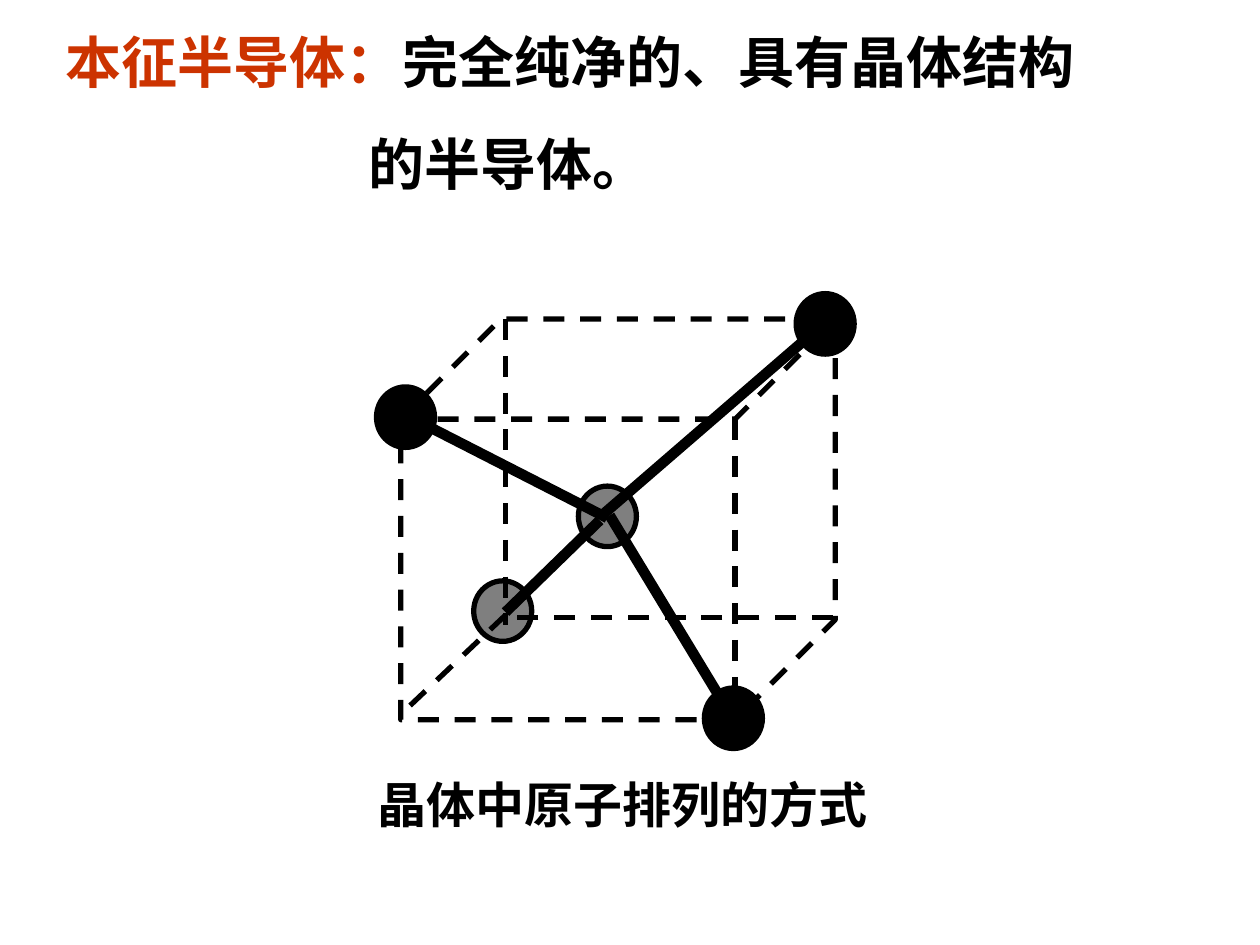
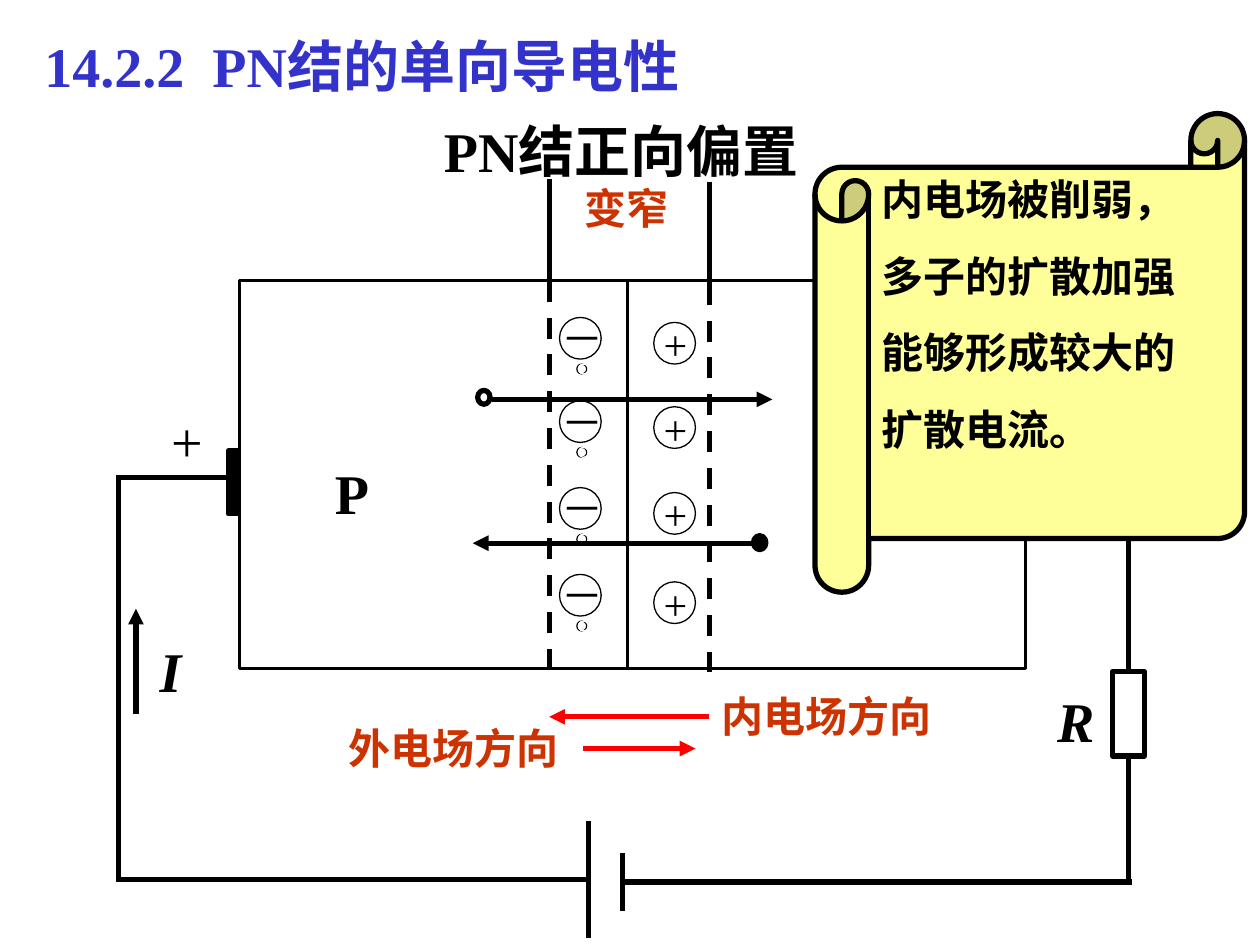
"""Builds two slides on intrinsic semiconductors and the forward-biased PN junction."""
from lxml import etree
from pptx import Presentation
from pptx.dml.color import RGBColor
from pptx.enum.dml import MSO_LINE
from pptx.enum.shapes import MSO_CONNECTOR, MSO_SHAPE
from pptx.enum.text import MSO_ANCHOR, MSO_AUTO_SIZE, PP_ALIGN
from pptx.oxml.ns import qn
from pptx.util import Cm, Pt

FONT = "Times New Roman"
BLACK = RGBColor(0x00, 0x00, 0x00)
WHITE = RGBColor(0xFF, 0xFF, 0xFF)
BLUE = RGBColor(0x33, 0x33, 0xCC)
RUST = RGBColor(0xCC, 0x33, 0x00)
RED = RGBColor(0xFF, 0x00, 0x00)
YELLOW = RGBColor(0xFF, 0xFF, 0x99)
DASH = MSO_LINE.DASH
STRAIGHT = MSO_CONNECTOR.STRAIGHT
RECT, OVAL = MSO_SHAPE.RECTANGLE, MSO_SHAPE.OVAL
CUBE, SCROLL = MSO_SHAPE.CUBE, MSO_SHAPE.HORIZONTAL_SCROLL
TOP, MIDDLE = MSO_ANCHOR.TOP, MSO_ANCHOR.MIDDLE
LEFT, CENTER = PP_ALIGN.LEFT, PP_ALIGN.CENTER
NO_FIT = MSO_AUTO_SIZE.NONE
TITLE_ONLY = 5
SIDE_TOP, SIDE_BOTTOM = 0, 2


class Deck:
    """Holds the shared style and the current slide."""

    def __init__(self):
        self.prs = Presentation()
        self.prs.slide_width, self.prs.slide_height = Cm(25.4), Cm(19.05)
        self.slide = None

    def add_slide(self, box, paragraphs):
        layout = self.prs.slide_layouts[TITLE_ONLY]
        self.slide = self.prs.slides.add_slide(layout)
        s = self.slide.shapes.title
        s.left, s.top, s.width, s.height = map(Cm, box)
        self.fill_text(s.text_frame, paragraphs)
        return s

    def fill_text(self, tf, paragraphs, size=32, bold=True, italic=False,
                  anchor=TOP, align=LEFT):
        tf.word_wrap = True
        tf.auto_size = NO_FIT
        tf.vertical_anchor = anchor
        for i, runs in enumerate(paragraphs):
            p = tf.add_paragraph() if i else tf.paragraphs[0]
            p.alignment = align
            p.space_before = Pt(size * 0.625 if i else 0)
            for text, color in runs:
                r = p.add_run()
                r.text = text
                r.font.name = FONT
                r.font.size = Pt(size)
                r.font.bold = bold
                r.font.italic = italic
                r.font.color.rgb = color

    def label(self, box, text, color=BLACK, **style):
        s = self.slide.shapes.add_textbox(*map(Cm, box))
        self.fill_text(s.text_frame, [[(text, color)]], **style)

    def shape(self, kind, box, fill=None, line=BLACK, width=3, alpha=None):
        s = self.slide.shapes.add_shape(kind, *map(Cm, box))
        s.shadow.inherit = False
        s.line.color.rgb = line
        s.line.width = Pt(width)
        if fill is None:
            s.fill.background()
        else:
            s.fill.solid()
            s.fill.fore_color.rgb = fill
        if alpha:
            color = s._element.spPr.find(qn("a:solidFill"))[0]
            etree.SubElement(color, qn("a:alpha")).set("val", str(alpha * 1000))
        return s

    def line(self, start, end, color=BLACK, width=3, dash=None, arrow=False):
        s = self.slide.shapes.add_connector(STRAIGHT, *map(Cm, start + end))
        s.line.color.rgb = color
        s.line.width = Pt(width)
        if dash:
            s.line.dash_style = dash
        spPr = s._element.spPr
        if arrow:
            tail = etree.SubElement(spPr.find(qn("a:ln")), qn("a:tailEnd"))
            tail.set("type", "triangle")
        etree.SubElement(spPr, qn("a:effectLst"))
        return s


def crystal_slide(deck):
    title = deck.add_slide(
        (1.07, 0.43, 22.66, 3.68),
        [[("本征半导体：", RUST), ("完全纯净的、具有晶体结构", BLACK)],
         [("的半导体。", BLACK)]])
    pPr = title.text_frame.paragraphs[1]._p.get_or_add_pPr()
    pPr.set("marL", str(Cm(6.1)))
    deck.label((7.37, 15.49, 11.05, 1.45), "晶体中原子排列的方式", size=28)

    cube = deck.shape(CUBE, (8.08, 6.43, 8.76, 8.08))
    cube.adjustments[0] = 0.25
    cube.line.dash_style = DASH
    for start, end in [((10.19, 6.43), (10.19, 12.6)),
                       ((16.79, 12.45), (10.13, 12.45)),
                       ((10.19, 12.4), (8.08, 14.4))]:
        deck.line(start, end, dash=DASH)

    for x, y, alpha in [(11.66, 9.8, 50), (7.59, 7.8, None), (9.55, 11.71, 50),
                        (16.05, 5.92, None), (14.2, 13.87, None)]:
        deck.shape(OVAL, (x, y, 1.17, 1.22), BLACK, alpha=alpha)
    for start, end in [((8.66, 8.61), (12.24, 10.44)),
                       ((12.09, 10.49), (10.19, 12.34)),
                       ((12.29, 10.39), (14.78, 14.5)),
                       ((12.19, 10.34), (16.69, 6.45))]:
        deck.line(start, end, width=6)


def draw_junction(deck):
    for x, width in [(4.83, 7.82), (12.65, 8.03)]:
        deck.shape(RECT, (x, 5.66, width, 7.82), width=1.5)
    for y in (6.4, 8.08, 9.83, 11.58):
        deck.shape(OVAL, (11.28, y, 0.84, 0.84), width=0.75)
        deck.label((11.08, y - 0.22, 1.47, 1.27), "－", size=24, bold=False)
        for x, color in [(11.63, BLACK), (11.66, WHITE)]:
            deck.shape(OVAL, (x, y + 0.94, 0.2, 0.2), line=color, width=0.75)
    for y in (6.5, 8.2, 9.93, 11.73):
        deck.shape(OVAL, (13.18, y, 0.84, 0.84), width=0.75)
        deck.label((13.13, y - 0.2, 1.07, 1.27), "+", size=24, bold=False)
    for x, y in [(11.07, 5.66), (14.3, 5.72)]:
        deck.line((x, y), (x, y + 7.82), dash=DASH)
        deck.line((x, y - 2.06), (x, y))


def draw_circuit(deck):
    for start, end in [((2.34, 9.63), (4.6, 9.63)),
                       ((2.39, 9.63), (2.39, 17.73)),
                       ((2.34, 17.73), (11.86, 17.73)),
                       ((11.86, 16.56), (11.86, 18.9)),
                       ((12.55, 17.2), (12.55, 18.36)),
                       ((12.55, 17.78), (22.81, 17.78))]:
        deck.line(start, end)
    deck.shape(RECT, (4.6, 9.09, 0.2, 1.27), BLACK)
    resistor = deck.shape(RECT, (22.43, 13.54, 0.64, 1.7), WHITE)
    upper = deck.line((22.75, 10.9), (22.75, 13.54))
    upper.end_connect(resistor, SIDE_TOP)
    lower = deck.line((22.75, 15.24), (22.75, 17.73))
    lower.begin_connect(resistor, SIDE_BOTTOM)
    deck.line((2.74, 14.4), (2.74, 12.27), arrow=True)
    deck.label((6.5, 9.12, 1.93, 1.63), "P")
    deck.label((3.2, 8.08, 2.08, 1.63), "+", bold=False)
    deck.label((21.06, 13.72, 1.93, 1.63), "R", italic=True)
    deck.label((2.97, 12.7, 1.93, 1.63), "I", italic=True)


def draw_motion(deck):
    deck.shape(OVAL, (9.63, 7.87, 0.25, 0.28))
    deck.line((9.91, 8.05), (15.57, 8.05), arrow=True)
    deck.shape(OVAL, (15.19, 10.8, 0.25, 0.28), BLACK)
    deck.line((15.19, 10.95), (9.53, 10.95), arrow=True)
    deck.line((14.3, 14.45), (11.07, 14.45), RED, arrow=True)
    deck.line((11.76, 15.09), (14.02, 15.09), RED, arrow=True)
    for box, text in [((14.3, 13.79, 4.98, 1.27), "内电场方向"),
                      ((6.78, 14.43, 5.23, 1.27), "外电场方向"),
                      ((11.53, 3.56, 2.64, 1.27), "变窄")]:
        deck.label(box, text, RUST, size=24, anchor=MIDDLE)


def junction_slide(deck):
    deck.add_slide((0.64, 0.51, 13.54, 2.97),
                   [[("14.2.2  PN结的单向导电性", BLUE)]])
    deck.label((7.26, 2.21, 10.54, 1.63), "PN结正向偏置",
               anchor=MIDDLE, align=CENTER)
    draw_junction(deck)
    draw_circuit(deck)
    draw_motion(deck)
    scroll = deck.shape(SCROLL, (16.43, 2.29, 8.66, 9.65), YELLOW)
    scroll.adjustments[0] = 0.125
    remarks = ("内电场被削弱，", "多子的扩散加强", "能够形成较大的", "扩散电流。")
    deck.fill_text(scroll.text_frame, [[(text, BLACK)] for text in remarks], size=24)


def main():
    deck = Deck()
    crystal_slide(deck)
    junction_slide(deck)
    deck.prs.save("out.pptx")


if __name__ == "__main__":
    main()
